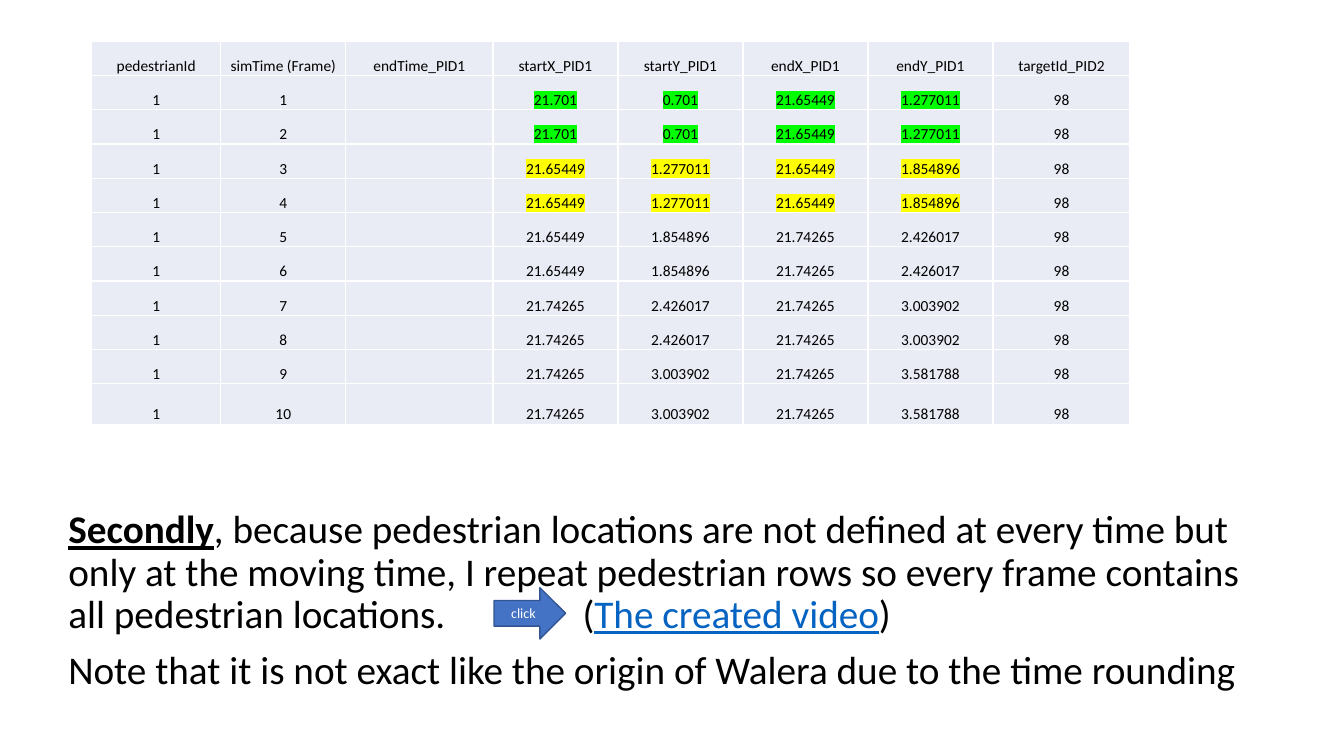
from lxml import etree
from pptx import Presentation
from pptx.dml.color import RGBColor
from pptx.enum.shapes import MSO_SHAPE
from pptx.enum.text import MSO_ANCHOR, PP_ALIGN
from pptx.oxml import parse_xml
from pptx.oxml.ns import qn
from pptx.util import Inches, Pt

RIGHT_ARROW = MSO_SHAPE.RIGHT_ARROW
CENTER = PP_ALIGN.CENTER
MIDDLE, BOTTOM = MSO_ANCHOR.MIDDLE, MSO_ANCHOR.BOTTOM
DRAWING = "http://schemas.openxmlformats.org/drawingml/2006/main"


def color(value):
    return RGBColor.from_string(value)


def add_span(para, text, size, ink="000000", bold=False, underline=False):
    span = para.add_run()
    span.text = text
    span.font.size = Pt(size)
    span.font.name = "Calibri"
    span.font.bold = bold
    span.font.underline = underline
    span.font.color.rgb = color(ink)
    return span


deck = Presentation()
deck.slide_width, deck.slide_height = Inches(13.33), Inches(7.5)
page = deck.slides.add_slide(deck.slide_layouts[6])

box = page.shapes.add_textbox(Inches(0.58), Inches(5.01), Inches(11.86), Inches(2.16))
box.text_frame.word_wrap = True
story = box.text_frame.paragraphs[0]
note = box.text_frame.add_paragraph()
for para in (story, note):
    para.line_spacing = 0.9
    para.space_before = Pt(10)
add_span(story, "Secondly", 28, bold=True, underline=True)
add_span(story, ", because pedestrian locations are not defined at every time but only at the "
         "moving time, I repeat pedestrian rows so every frame contains all pedestrian "
         "locations.\t(", 28)
add_span(story, "The created video", 28, ink="0563C1", underline=True)
add_span(story, ")", 28)
add_span(note, "Note that it is not exact like the origin of Walera due to the time rounding", 28)
tabs = etree.SubElement(story._p.get_or_add_pPr(), qn("a:tabLst"))
etree.SubElement(tabs, qn("a:tab"), pos=str(Inches(5.1)), algn="l")

headers = ["pedestrianId", "simTime (Frame)", "endTime_PID1", "startX_PID1", "startY_PID1",
           "endX_PID1", "endY_PID1", "targetId_PID2"]
waypoints = [("21.701", "0.701"), ("21.65449", "1.277011"), ("21.65449", "1.854896"),
             ("21.74265", "2.426017"), ("21.74265", "3.003902"), ("21.74265", "3.581788")]
rows = [headers]
for frame in range(1, 11):
    step = (frame - 1) // 2
    rows.append(["1", str(frame), "", *waypoints[step], *waypoints[step + 1], "98"])
highlights = {1: "00FF00", 2: "00FF00", 3: "FFFF00", 4: "FFFF00"}
widths = [1.28, 1.24, 1.46, 1.24, 1.24, 1.24, 1.24, 1.36]

table = page.shapes.add_table(len(rows), len(headers), Inches(0.91), Inches(0.41),
                              Inches(10.33), Inches(3.78)).table
for column, width in zip(table.columns, widths):
    column.width = Inches(width)
for row in table.rows:
    row.height = Inches(0.34)
table.rows[len(rows) - 1].height = Inches(0.4)

for row_index, values in enumerate(rows):
    for column_index, value in enumerate(values):
        cell = table.cell(row_index, column_index)
        cell.fill.solid()
        cell.fill.fore_color.rgb = color("E9EBF5")
        cell.vertical_anchor = BOTTOM
        cell.margin_left = cell.margin_right = cell.margin_top = Inches(0.01)
        cell.margin_bottom = 0
        for order, edge in enumerate(("lnL", "lnR", "lnT", "lnB")):
            cell._tc.get_or_add_tcPr().insert(order, parse_xml(
                f'<a:{edge} xmlns:a="{DRAWING}" w="12700"><a:solidFill>'
                f'<a:srgbClr val="FFFFFF"/></a:solidFill></a:{edge}>'))
        if not value:
            continue
        para = cell.text_frame.paragraphs[0]
        para.alignment = CENTER
        span = add_span(para, value, 11)
        if row_index in highlights and 3 <= column_index <= 6:
            marker = parse_xml(f'<a:highlight xmlns:a="{DRAWING}">'
                               f'<a:srgbClr val="{highlights[row_index]}"/></a:highlight>')
            span._r.rPr.find(qn("a:solidFill")).addnext(marker)

arrow = page.shapes.add_shape(RIGHT_ARROW, Inches(4.9), Inches(5.83), Inches(0.71), Inches(0.51))
arrow.shadow.inherit = False
arrow.fill.solid()
arrow.fill.fore_color.rgb = color("4472C4")
arrow.line.color.rgb = color("325491")
arrow.line.width = Pt(1)
arrow.text_frame.vertical_anchor = MIDDLE
arrow_para = arrow.text_frame.paragraphs[0]
arrow_para.alignment = CENTER
add_span(arrow_para, "click", 10, ink="FFFFFF")
arrow.text_frame.word_wrap = False

deck.save("out.pptx")
